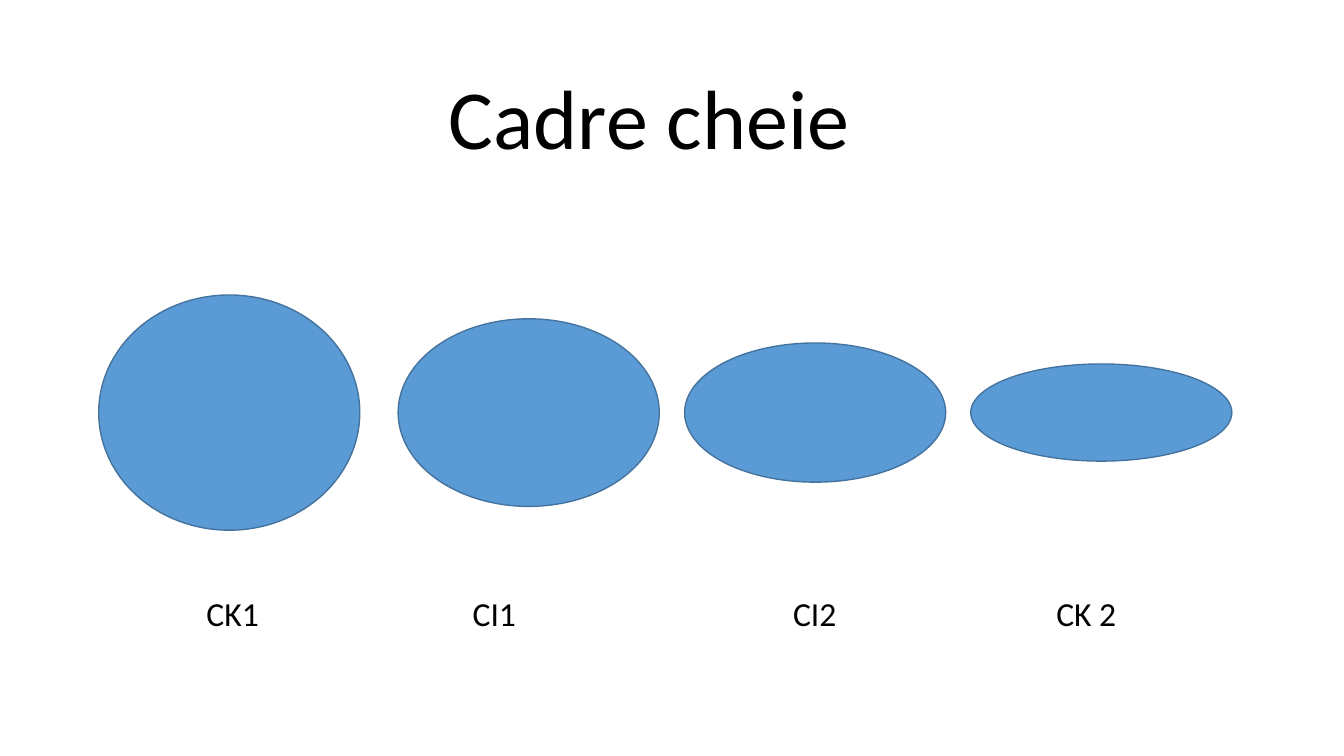
"""Build the key frames slide: four ellipses flattening from CK1 to CK 2."""
from pptx import Presentation
from pptx.dml.color import RGBColor
from pptx.enum.shapes import MSO_SHAPE
from pptx.enum.text import MSO_ANCHOR, PP_ALIGN
from pptx.util import Pt

BLACK = RGBColor(0x00, 0x00, 0x00)
BLUE = RGBColor(0x5B, 0x9B, 0xD5)
OUTLINE = RGBColor(0x43, 0x73, 0x9E)

TITLE = "Cadre cheie"
# label, ellipse left, ellipse height, label left
FRAMES = [
    ("CK1", 70.5, 168, 140.4),
    ("CI1", 284.4, 134, 330.5),
    ("CI2", 489, 99.4, 559.4),
    ("CK 2", 693.4, 69.4, 747.4),
]
FRAME_W, FRAME_MID = 186.5, 294.7
LABEL_TOP, LABEL_W, LABEL_H = 420, 63.4, 36


def add_text(s, text, left, top, width, height, size):
    sp = s.shapes.add_textbox(Pt(left), Pt(top), Pt(width), Pt(height))
    tf = sp.text_frame
    tf.word_wrap = True
    p = tf.paragraphs[0]
    p.text = text
    p.font.name = "Calibri"
    p.font.size = Pt(size)
    p.font.color.rgb = BLACK
    return tf


def add_frame(s, left, height):
    sp = s.shapes.add_shape(MSO_SHAPE.OVAL, Pt(left), Pt(FRAME_MID - height / 2),
                            Pt(FRAME_W), Pt(height))
    sp.shadow.inherit = False
    sp.fill.solid()
    sp.fill.fore_color.rgb = BLUE
    sp.line.color.rgb = OUTLINE
    sp.line.width = Pt(1)


prs = Presentation()
prs.slide_width, prs.slide_height = Pt(960), Pt(540)
s = prs.slides.add_slide(prs.slide_layouts[6])

tf = add_text(s, TITLE, 103.7, 47.5, 720, 75.6, 60)
tf.vertical_anchor = MSO_ANCHOR.BOTTOM
p = tf.paragraphs[0]
p.alignment = PP_ALIGN.CENTER
p.line_spacing = 0.9

for label, left, height, label_left in FRAMES:
    add_frame(s, left, height)
    add_text(s, label, label_left, LABEL_TOP, LABEL_W, LABEL_H, 24)

prs.save("out.pptx")
